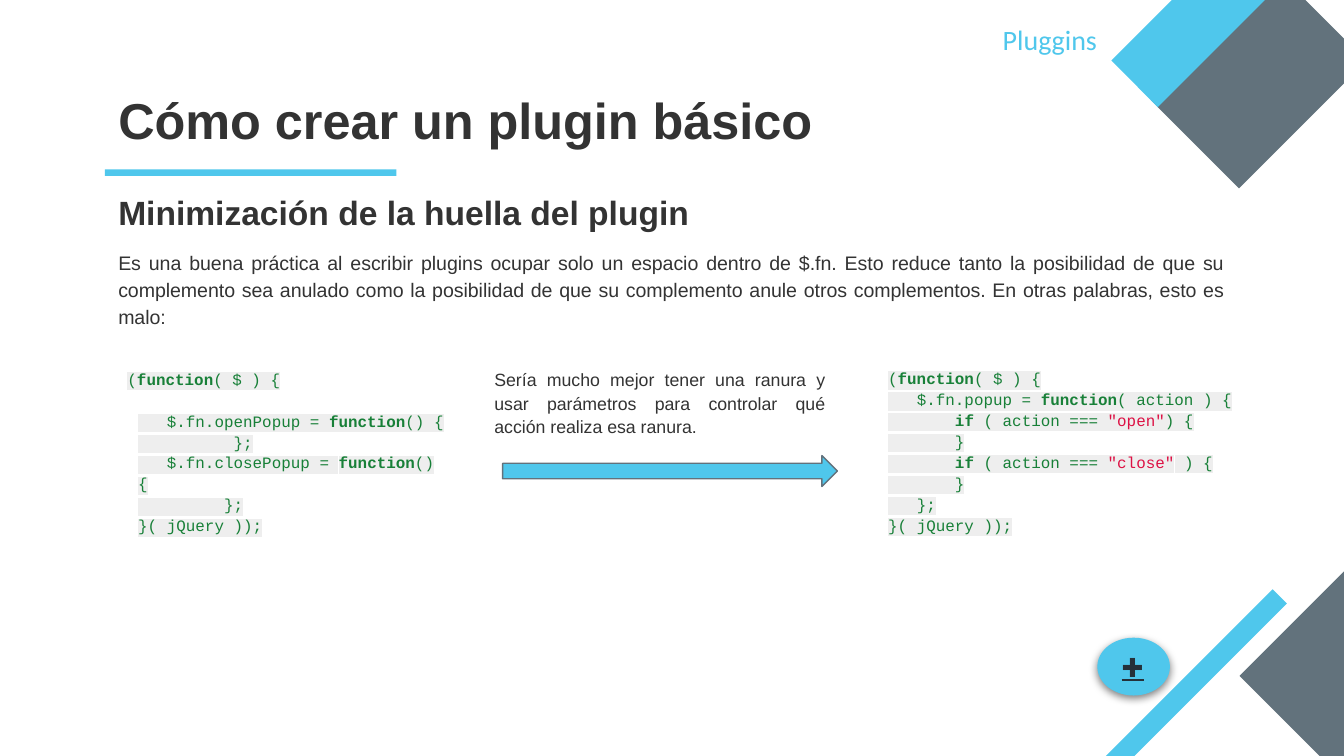
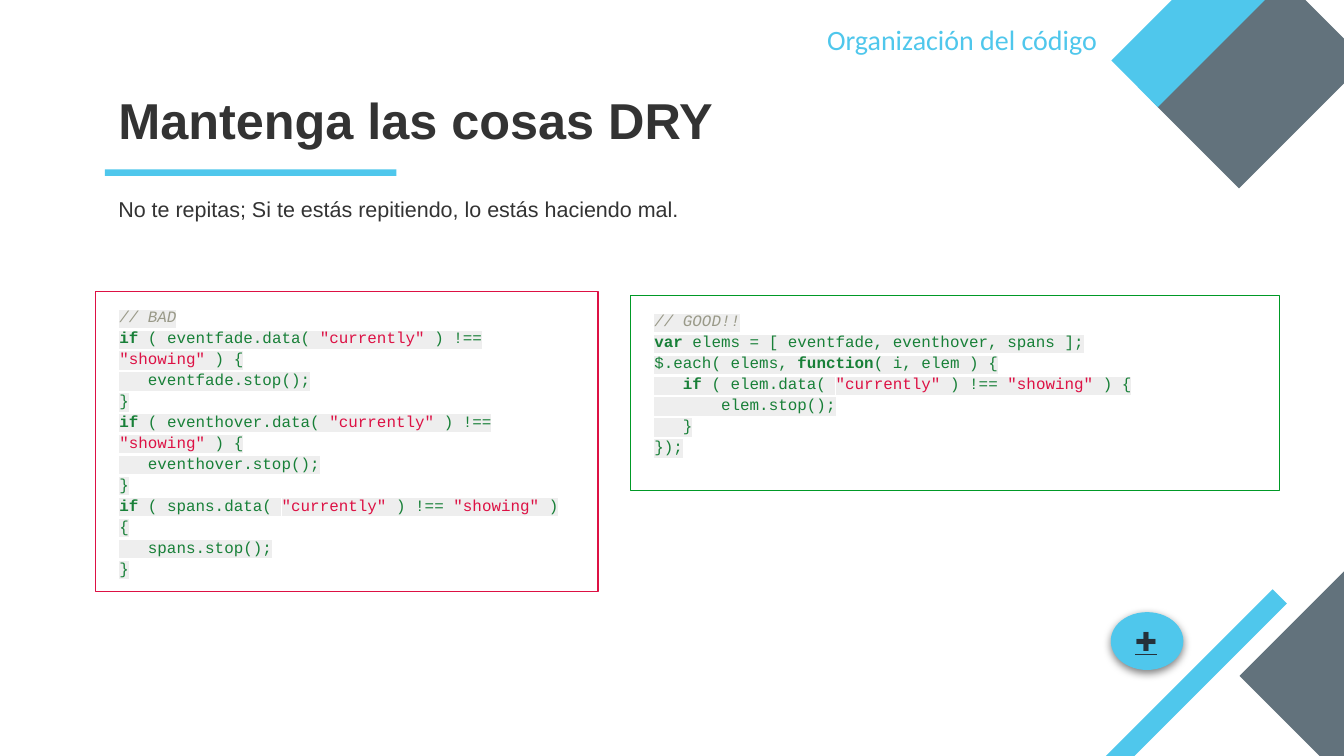
from dataclasses import dataclass, replace

import pptx
import pptx.util
import pptx.dml.color
import pptx.enum.shapes
import pptx.enum.text
import pptx.oxml
import pptx.oxml.ns
from pptx.util import Inches

SHAPE = pptx.enum.shapes.MSO_SHAPE
ALIGN = pptx.enum.text.PP_ALIGN
ANCHOR = pptx.enum.text.MSO_ANCHOR
FIT = pptx.enum.text.MSO_AUTO_SIZE

CYAN, SLATE, INK, DARK = "4FC7EC", "62727C", "333333", "25313A"
GREEN, RED, GRAY, LIME, PALE = "188038", "DD1144", "999988", "009926", "EEEEEE"
WORDS = {"function", "if", "var"}


@dataclass(frozen=True)
class Style:
    size: float
    color: str = INK
    font: str = "Arial"
    bold: bool = False
    under: bool = False
    align: ALIGN = ALIGN.LEFT
    space: float = 1.0
    before: float = 0
    after: float = 0
    indent: float = 0
    code: bool = False


@dataclass(frozen=True)
class Box:
    left: float
    top: float
    width: float
    height: float


@dataclass(frozen=True)
class Block:
    """A rotated rectangle of the slide frame."""
    box: Box
    fill: str
    turn: float = 45


Lines = list[tuple[str, Style]]

TITLE = Style(27, bold=True, after=9)
HEAD = Style(18, bold=True, align=ALIGN.JUSTIFY)
BODY = Style(10.5, align=ALIGN.JUSTIFY, space=1.15, before=8)
LEAD = Style(11.5, space=1.15)
NOTE = Style(9.5, align=ALIGN.JUSTIFY, space=1.1, indent=0.08)
TOPIC = Style(15, CYAN, "Calibri", align=ALIGN.RIGHT)
PLUS = Style(14, DARK, under=True)
CODE = Style(8.5, GREEN, "Courier New", space=1.1, indent=0.08, code=True)

BLOCKS = [
    Block(Box(9.5, 4.36, 1.34, 1.34), SLATE),
    Block(Box(8.9, -0.07, 0.93, 1.34), SLATE),
    Block(Box(8.67, -0.52, 0.49, 1.34), CYAN),
    Block(Box(8.68, 4.12, 0.15, 2.17), CYAN),
    Block(Box(1.84, 0.2, 0.05, 2.17), CYAN, 90),
]

# A bar parts the pieces of a code line that differ in colour or weight.
POPUPS = """   $.fn.openPopup = |function|() {
          };
   $.fn.closePopup = |function|() {
         };
}( jQuery ));"""

ACTION = """(|function|( $ ) {
   $.fn.popup = |function|( action ) {
       |if| ( action === |"open"|) {
       }
       |if| ( action === |"close"| ) {
       }
   };
}( jQuery ));"""

STOP = """|if| ( {0}.data( |"currently"| ) !== |"showing"| ) {{
   {0}.stop();
}}"""
BAD = "\n".join(["// BAD"] + [STOP.format(name) for name in
                              ("eventfade", "eventhover", "spans")])

GOOD = """// GOOD!!
|var| elems = [ eventfade, eventhover, spans ];
$.each( elems, |function|( i, elem ) {
   |if| ( elem.data( |"currently"| ) !== |"showing"| ) {
       elem.stop();
   }
});"""


def rgb(code: str) -> pptx.dml.color.RGBColor:
    return pptx.dml.color.RGBColor.from_string(code)


def place(shape, box: Box) -> None:
    shape.left, shape.top = Inches(box.left), Inches(box.top)
    shape.width, shape.height = Inches(box.width), Inches(box.height)


def listing(text: str) -> Lines:
    return [(line, CODE) for line in text.split("\n")]


def tint(run) -> None:
    """Colour one piece of code by its kind and shade its ground."""
    text, font = run.text, run.font
    color = GREEN
    if text in WORDS:
        font.bold = True
    elif text.startswith('"'):
        color = RED
    elif text.startswith("//"):
        color, font.italic = GRAY, True
    font.color.rgb = rgb(color)
    mark = pptx.oxml.parse_xml(
        f'<a:highlight {pptx.oxml.ns.nsdecls("a")}>'
        f'<a:srgbClr val="{PALE}"/></a:highlight>')
    font.fill._xPr.append(mark)


def write(shape, lines: Lines, anchor: ANCHOR = ANCHOR.TOP,
          fit: FIT = FIT.NONE) -> None:
    frame = shape.text_frame
    frame.word_wrap, frame.auto_size = True, fit
    frame.vertical_anchor = anchor
    frame.margin_left = frame.margin_right = Inches(0.1)
    frame.margin_top = frame.margin_bottom = Inches(0.1)
    for index, (text, style) in enumerate(lines):
        para = frame.add_paragraph() if index else frame.paragraphs[0]
        para.alignment, para.line_spacing = style.align, style.space
        para.space_before = pptx.util.Pt(style.before)
        para.space_after = pptx.util.Pt(style.after)
        props = para._p.get_or_add_pPr()
        for side in ("marL", "marR"):
            props.set(side, str(Inches(style.indent)))
        props.set("indent", "0")
        font = para.font
        font.name, font.size = style.font, pptx.util.Pt(style.size)
        font.bold, font.underline = style.bold, style.under
        font.color.rgb = rgb(style.color)
        pieces = text.split("|") if style.code else [text]
        for piece in filter(None, pieces):
            run = para.add_run()
            run.text = piece
            if style.code:
                tint(run)


def draw(slide, kind: SHAPE, box: Box, fill: str = "", line: str = ""):
    shape = slide.shapes.add_shape(kind, 0, 0, 0, 0)
    place(shape, box)
    shape.shadow.inherit = False
    if fill:
        shape.fill.solid()
        shape.fill.fore_color.rgb = rgb(fill)
    else:
        shape.fill.background()
    if line:
        shape.line.color.rgb = rgb(line)
        shape.line.width = pptx.util.Pt(0.75)
    else:
        shape.line.fill.background()
    return shape


def label(slide, box: Box, lines: Lines) -> None:
    shape = slide.shapes.add_textbox(0, 0, 0, 0)
    place(shape, box)
    write(shape, lines, fit=FIT.SHAPE_TO_FIT_TEXT)


def panel(slide, box: Box, line: str, text: str) -> None:
    shape = draw(slide, SHAPE.RECTANGLE, box, line=line)
    write(shape, listing(text), fit=FIT.SHAPE_TO_FIT_TEXT)


def badge(slide, left: float, top: float) -> None:
    """Draw the round plus button with its soft shadow."""
    shape = draw(slide, SHAPE.FLOWCHART_CONNECTOR,
                 Box(left, top, 0.53, 0.42), CYAN, CYAN)
    blur, dist = pptx.util.Pt(4.5), pptx.util.Pt(1.5)
    shade = pptx.oxml.parse_xml(
        f'<a:outerShdw {pptx.oxml.ns.nsdecls("a")} blurRad="{blur}" '
        f'dist="{dist}" dir="5400000" algn="bl" rotWithShape="0">'
        '<a:srgbClr val="000000"><a:alpha val="50000"/></a:srgbClr>'
        '</a:outerShdw>')
    shape._element.spPr.find(pptx.oxml.ns.qn("a:effectLst")).append(shade)
    write(shape, [("✚", PLUS)], ANCHOR.MIDDLE)


def start(deck, topic: str, title: str, lines: Lines, height: float):
    """Add a slide with its frame, topic, title and lead text."""
    slide = deck.slides.add_slide(deck.slide_layouts[0])
    for block in BLOCKS:
        draw(slide, SHAPE.RECTANGLE, block.box, block.fill).rotation = block.turn
    head, lead = slide.shapes.title, slide.placeholders[1]
    place(head, Box(0.78, 0.59, 8.44, 0.59))
    write(head, [(title, TITLE)], ANCHOR.MIDDLE)
    place(lead, Box(0.78, 1.33, 8.44, height))
    write(lead, lines)
    label(slide, Box(5.77, 0.07, 2.49, 0.45), [(topic, TOPIC)])
    return slide


def plugin(deck) -> None:
    slide = start(deck, "Pluggins", "Cómo crear un plugin básico", [
        ("Minimización de la huella del plugin", HEAD),
        ("Es una buena práctica al escribir plugins ocupar solo un espacio "
         "dentro de $.fn. Esto reduce tanto la posibilidad de que su "
         "complemento sea anulado como la posibilidad de que su complemento "
         "anule otros complementos. En otras palabras, esto es malo:", BODY),
    ], 1.2)
    popups = listing(POPUPS)
    popups[0] = (popups[0][0], replace(CODE, before=11))
    opening = ("(|function|( $ ) {", replace(CODE, space=1.15, indent=0))
    label(slide, Box(0.85, 2.63, 2.65, 1.29), [opening] + popups)
    label(slide, Box(3.5, 2.63, 2.82, 0.71), [
        ("Sería mucho mejor tener una ranura y usar parámetros para "
         "controlar qué acción realiza esa ranura.", NOTE)])
    label(slide, Box(6.43, 2.63, 3.01, 1.45), listing(ACTION))
    draw(slide, SHAPE.RIGHT_ARROW, Box(3.74, 3.39, 2.49, 0.23), CYAN, SLATE)
    badge(slide, 8.17, 4.75)


def dry(deck) -> None:
    slide = start(deck, "Organización del código", "Mantenga las cosas DRY", [
        ("No te repitas; Si te estás repitiendo, lo estás haciendo mal.", LEAD),
    ], 0.76)
    panel(slide, Box(0.71, 2.17, 3.74, 2.23), RED, BAD)
    panel(slide, Box(4.69, 2.2, 4.83, 1.45), LIME, GOOD)
    badge(slide, 8.27, 4.56)


def main() -> None:
    deck = pptx.Presentation()
    deck.slide_width = Inches(10)
    deck.slide_height = deck.slide_width * 9 // 16
    plugin(deck)
    dry(deck)
    deck.save("out.pptx")


if __name__ == "__main__":
    main()
